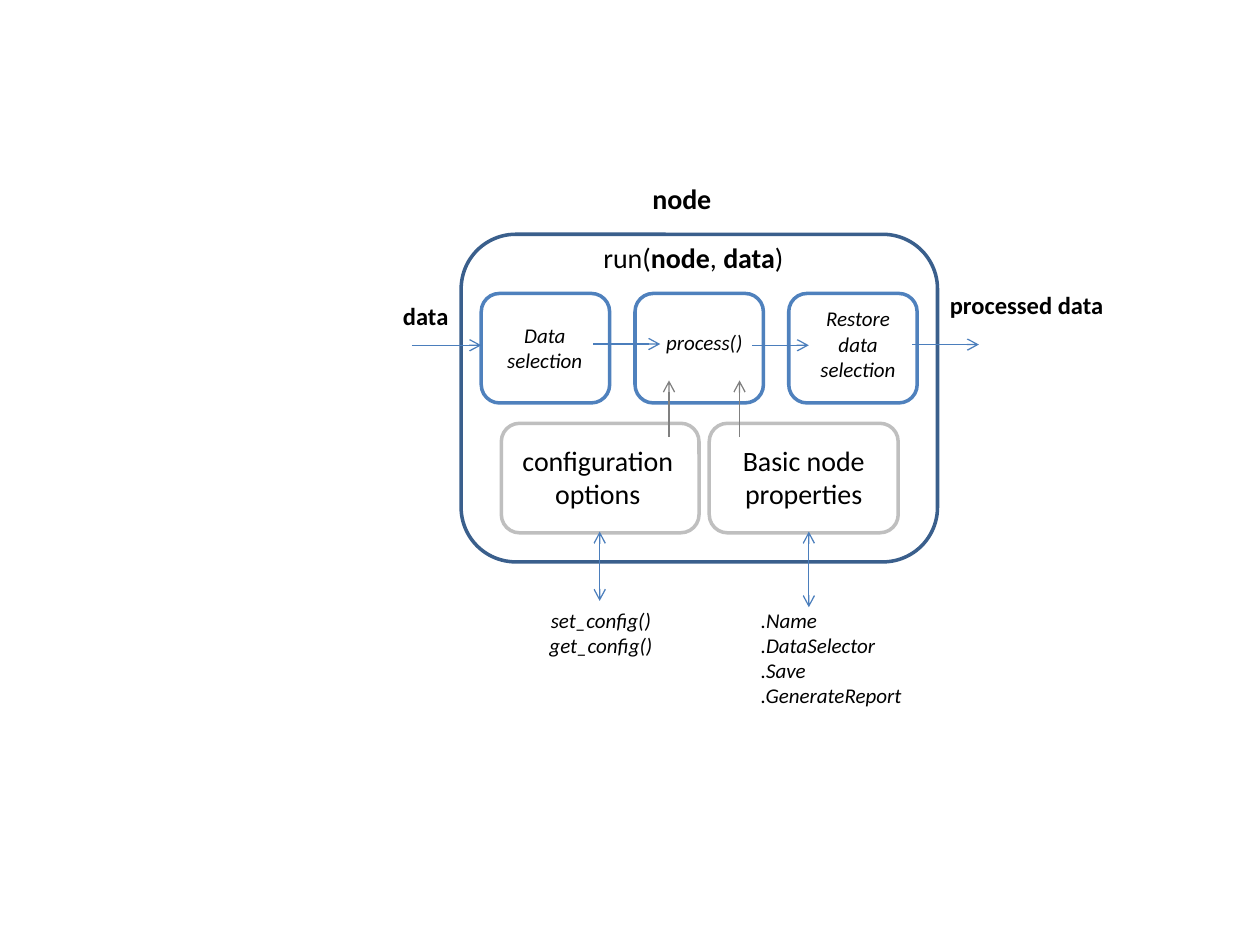
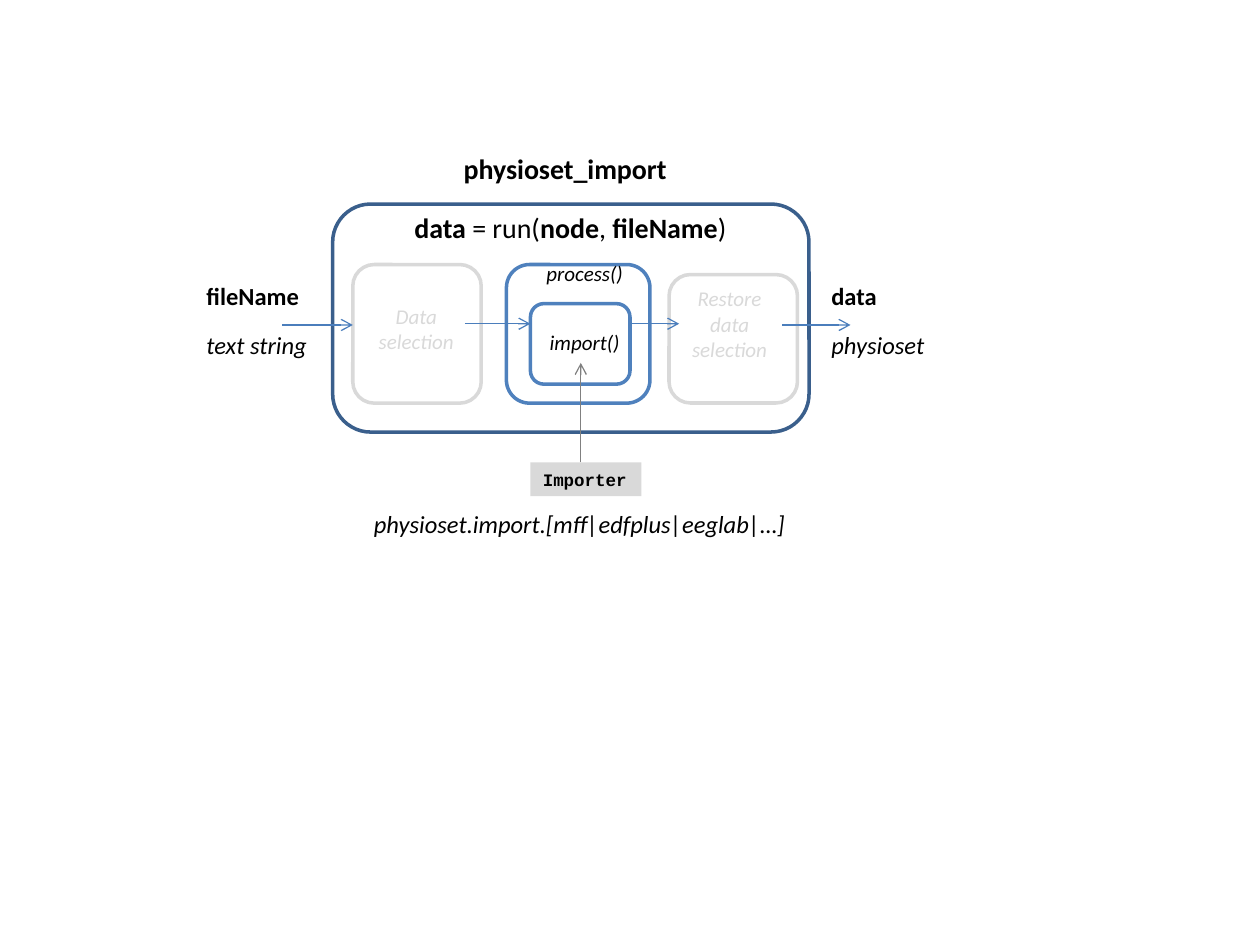
from dataclasses import dataclass

from lxml import etree
from pptx import Presentation
from pptx.dml.color import RGBColor
from pptx.enum import shapes as kinds, text as txt
from pptx.oxml import ns
from pptx.util import Pt


@dataclass(frozen=True)
class Theme:
    font: str = "Calibri"
    code_font: str = "Courier New"
    ink: str = "000000"
    paper: str = "FFFFFF"
    frame: str = "3A5F8C"
    stage: str = "4F81BD"
    flow: str = "4B7EBC"
    setting: str = "BFBFBF"
    muted: str = "D9D9D9"
    feed: str = "808080"
    heading: int = 16
    port: int = 14
    body: int = 12
    code: int = 10
    outline: float = 2
    arrow: float = 0.75


@dataclass(frozen=True)
class Box:
    x: float
    y: float
    w: float
    h: float

    def inner(self, x, y, w, h):
        return Box(self.x + x, self.y + y, w, h)

    def lengths(self):
        return Pt(self.x), Pt(self.y), Pt(self.w), Pt(self.h)


THEME = Theme()
STAGE_WIDTH = 73.4
STAGE_LEFT = 11.5
STAGE_STEP = 87.85
LEFT, CENTER = txt.PP_ALIGN.LEFT, txt.PP_ALIGN.CENTER


def rgb(colour):
    return RGBColor.from_string(colour)


# Drawing helpers
def panel(slide, box, line=None, fill=None, kind=kinds.MSO_SHAPE.ROUNDED_RECTANGLE):
    outline = slide.shapes.add_shape(kind, *box.lengths())
    outline.shadow.inherit = False
    if fill:
        outline.fill.solid()
        outline.fill.fore_color.rgb = rgb(fill)
    else:
        outline.fill.background()
    if line:
        outline.line.color.rgb = rgb(line)
        outline.line.width = Pt(THEME.outline)
    else:
        outline.line.fill.background()
    return outline


def write(frame, lines, size, font=THEME.font, colour=THEME.ink, bold=False,
          italic=False, align=LEFT, wrap=True):
    """Each line is a string, or a list of (words, bold) pairs."""
    frame.word_wrap = wrap
    frame.auto_size = txt.MSO_AUTO_SIZE.SHAPE_TO_FIT_TEXT
    for number, line in enumerate(lines):
        paragraph = frame.paragraphs[0] if number == 0 else frame.add_paragraph()
        paragraph.alignment = align
        style = paragraph.font
        style.name, style.size = font, Pt(size)
        style.color.rgb = rgb(colour)
        style.bold, style.italic = bold, italic
        if isinstance(line, str):
            paragraph.add_run().text = line
            continue
        for words, strong in line:
            run = paragraph.add_run()
            run.text = words
            run.font.bold = strong


def label(slide, box, lines, size=THEME.body, **style):
    words = slide.shapes.add_textbox(*box.lengths())
    write(words.text_frame, lines, size, **style)


def arrow(slide, box, start, end, colour=THEME.flow, both=False):
    """Start and end are measured from the top left of the box."""
    link = slide.shapes.add_connector(
        kinds.MSO_CONNECTOR.STRAIGHT,
        Pt(box.x + start[0]), Pt(box.y + start[1]),
        Pt(box.x + end[0]), Pt(box.y + end[1]))
    link.line.color.rgb = rgb(colour)
    link.line.width = Pt(THEME.arrow)
    outline = link.line._get_or_add_ln()
    for tip in ("a:headEnd", "a:tailEnd") if both else ("a:tailEnd",):
        etree.SubElement(outline, ns.qn(tip), type="arrow")
    etree.SubElement(link._element.spPr, ns.qn("a:effectLst"))


# Regions shared by both diagrams
def node_frame(slide, box, title, title_box, signature, signature_box):
    panel(slide, box, THEME.frame)
    for line, (x, width) in ((signature, signature_box), (title, title_box)):
        top = 0 if line is signature else -33.8
        label(slide, box.inner(x, top, width, 26.6), [line], THEME.heading,
              bold=line is title, wrap=False)


def stage(slide, box, words, words_box, line=THEME.stage, colour=THEME.ink,
          fill=THEME.paper):
    """A step of the run; words_box is measured from the stage."""
    panel(slide, box, line, fill)
    label(slide, box.inner(*words_box), [words], colour=colour, italic=True,
          align=CENTER)


def setting(slide, box, words, words_left, words_width):
    panel(slide, box, THEME.setting, THEME.paper)
    label(slide, box.inner(words_left, 7.9, words_width, 46), [words],
          THEME.heading, align=CENTER)


def port(slide, box, words, wrap=False, **style):
    label(slide, box, [words], THEME.port, wrap=wrap, **style)


# Slide 1: a generic node
def node_diagram(slide, box):
    node_frame(slide, box, "node", (102.2, 52),
               [("run(", False), ("node", True), (", ", False),
                ("data", True), (")", False)], (74.2, 118.8))
    port(slide, box.inner(-40.3, 34.6, 40.3, 24.5), "data", bold=True)
    port(slide, box.inner(272.2, 28.1, 108, 24.5), "processed data",
         wrap=True, bold=True)

    # Processing stages
    steps = (("Data selection", (5, 13, 62.6, 36)),
             ("process()", (2.9, 17.3, STAGE_WIDTH, 21.6)),
             ("Restore data selection", (2.9, 3.6, STAGE_WIDTH, 51)))
    for column, (words, words_box) in enumerate(steps):
        stage(slide, box.inner(STAGE_LEFT + column * STAGE_STEP, 33.8,
                               STAGE_WIDTH, 62.6), words, words_box)

    # Settings and the members that reach them
    setting(slide, box.inner(23, 108, 113, 62.6), "configuration options", 0, 110.2)
    setting(slide, box.inner(141.8, 108, 108, 62.6), "Basic node properties", 2.9, 102.2)
    label(slide, box.inner(28.8, 209.5, 102.2, 36),
          ["set_config()", "get_config()"], italic=True, align=CENTER)
    label(slide, box.inner(164.2, 209.5, 136, 65.5),
          [".Name", ".DataSelector", ".Save", ".GenerateReport"], italic=True)

    # Data flow, settings feed and access
    for start, end, y in ((-28.1, STAGE_LEFT, 63.4), (75.6, 113.8, 62.7),
                          (166.3, 198.7, 63.4), (257.8, 295.9, 63)):
        arrow(slide, box, (start, y), (end, y))
    for x in (118.8, 159.1):
        arrow(slide, box, (x, 115.9), (x, 83.5), THEME.feed)
    for x, y in ((79.2, 209.5), (198.7, 213.1)):
        arrow(slide, box, (x, y), (x, 169.9), both=True)


# Slide 2: the import node
def import_diagram(slide, box):
    node_frame(slide, box, "physioset_import", (67.7, 135.4),
               [("data", True), (" = run(", False), ("node", True),
                (", ", False), ("fileName", True), (")", False)], (39.6, 194.4))

    # Input and output, each with its type below
    for x, name, name_width, type_name, type_width in (
            (-79.2, "fileName", 68.4, "text string", 78.5),
            (277.9, "data", 108, "physioset", 72)):
        port(slide, box.inner(x, 40.3, name_width, 24.5), name,
             wrap=name == "data", bold=True)
        port(slide, box.inner(x, 68.4, type_width, 24.5), type_name, italic=True)

    # Stages, the unused ones muted
    muted = dict(line=THEME.muted, colour=THEME.muted)
    stage(slide, box.inner(STAGE_LEFT, 34.6, STAGE_WIDTH, 79.2),
          "Data selection", (5, 18.7, 62.6, 36), **muted)
    stage(slide, box.inner(192.2, 40.3, STAGE_WIDTH, STAGE_WIDTH),
          "Restore data selection", (-2.1, 2.9, STAGE_WIDTH, 51), **muted)
    stage(slide, box.inner(99.3, 34.6, 82, 79.2),
          "process()", (8, -5.8, STAGE_WIDTH, 21.6), fill=None)
    stage(slide, box.inner(113, 56.9, 56.9, 46),
          "import()", (-5.7, 11.5, STAGE_WIDTH, 21.6))

    # Importer
    importer = panel(slide, box.inner(113, 147.6, 63.4, 19.4), fill=THEME.muted,
                     kind=kinds.MSO_SHAPE.RECTANGLE)
    write(importer.text_frame, ["Importer"], THEME.code, font=THEME.code_font,
          bold=True, wrap=False)
    port(slide, box.inner(16.5, 170.7, 256.3, 24.5),
         "physioset.import.[mff|edfplus|eeglab|…]", italic=True)

    # Data flow and importer feed
    for start, end, y in ((-28.8, STAGE_LEFT, 69.1), (75.6, 113, 68.4),
                          (169.9, 198, 68.4), (257, 295.9, 69.1)):
        arrow(slide, box, (start, y), (end, y))
    arrow(slide, box, (141.8, 147.6), (141.8, 90.8), THEME.feed)


deck = Presentation()
deck.slide_width, deck.slide_height = Pt(720), Pt(540)
for diagram, place in ((node_diagram, Box(263.5, 133.9, 272.2, 187.2)),
                       (import_diagram, Box(190.1, 116.6, 272.2, 130.3))):
    diagram(deck.slides.add_slide(deck.slide_layouts[6]), place)
deck.save("out.pptx")
